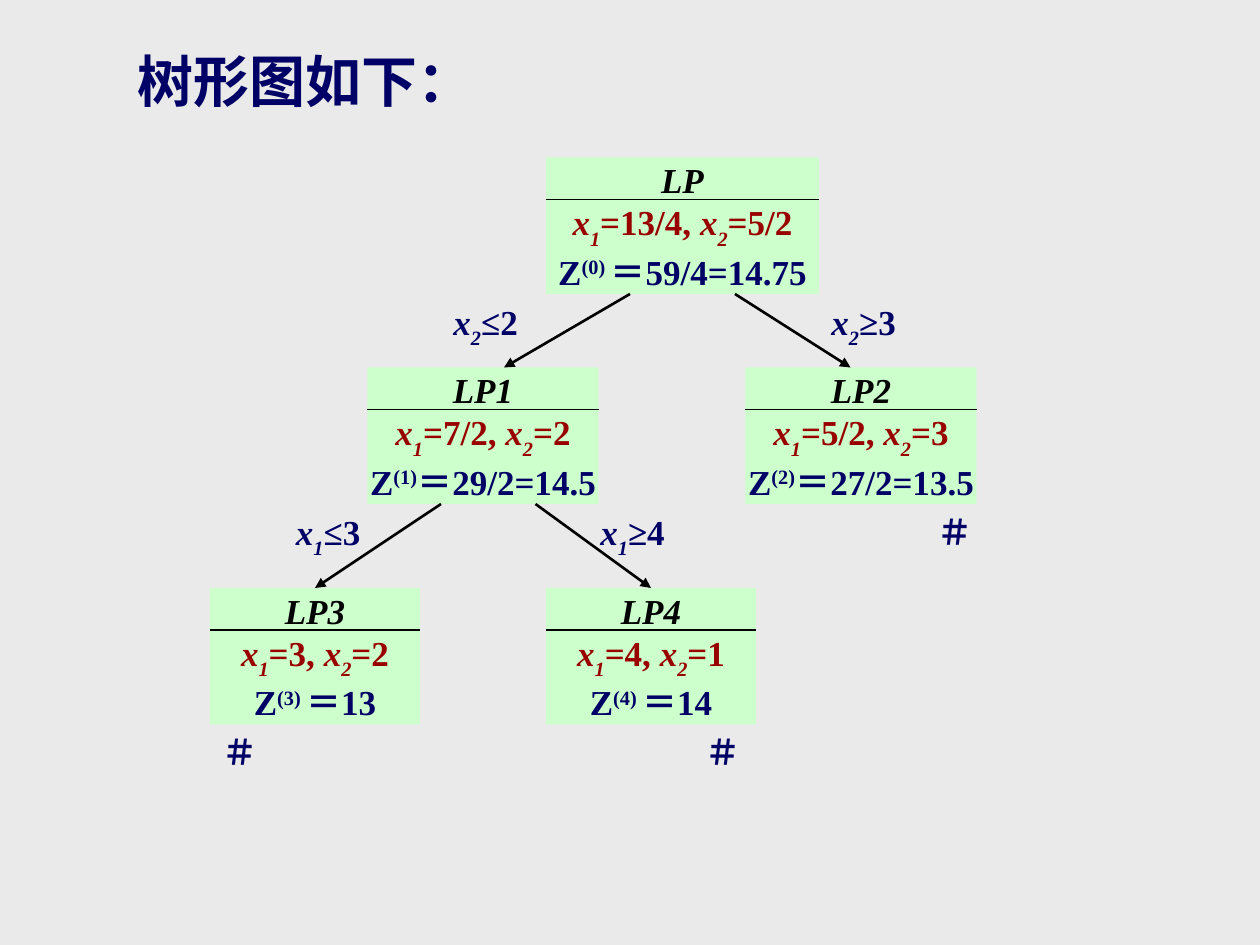
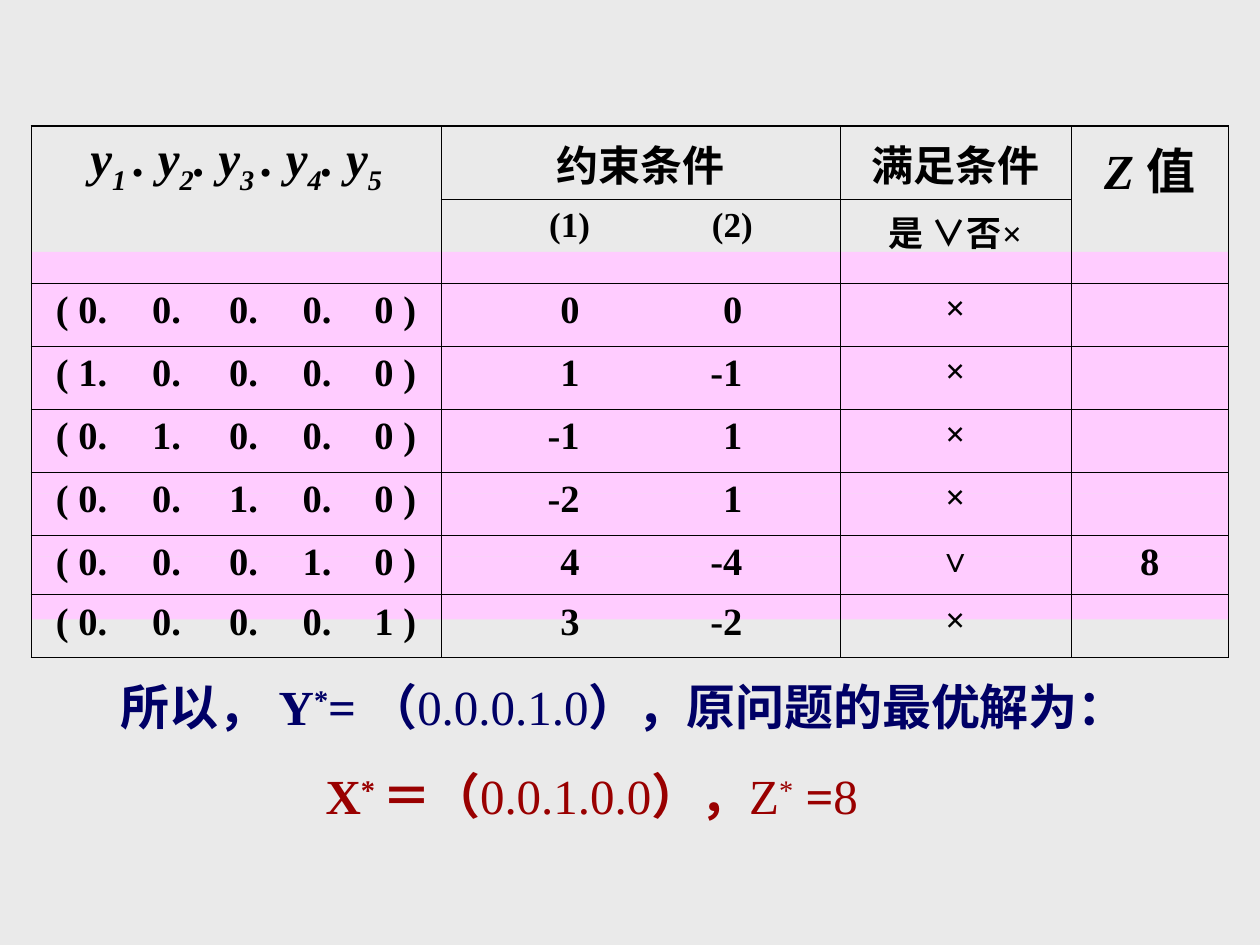
"""Build two slides: a branch-and-bound tree and a 0-1 enumeration table."""
from dataclasses import dataclass

from lxml.etree import SubElement
from pptx import Presentation
from pptx.dml.color import RGBColor
from pptx.enum.shapes import MSO_CONNECTOR, MSO_SHAPE
from pptx.enum.text import MSO_ANCHOR, PP_ALIGN
from pptx.oxml.ns import qn
from pptx.util import Pt


@dataclass(frozen=True)
class Theme:
    font: str = "Times New Roman"
    back: str = "EAEAEA"
    navy: str = "000066"
    red: str = "990000"
    black: str = "000000"
    node: str = "CCFFCC"
    band: str = "FFCCFF"
    title: int = 32
    large: int = 28
    head: int = 24
    row: int = 22
    body: int = 20


T = Theme()
BASELINE = {"_": "-30000", "^": "30000"}


def add_runs(p, runs, size, color):
    for text, style in runs:
        r = p.add_run()
        r.text = text
        r.font.name = T.font
        r.font.size = Pt(size)
        r.font.bold = "b" in style
        r.font.italic = "i" in style
        r.font.color.rgb = RGBColor.from_string(color)
        for mark in BASELINE:
            if mark in style:
                r._r.get_or_add_rPr().set("baseline", BASELINE[mark])


def add_rect(s, x, y, w, h, color):
    sp = s.shapes.add_shape(MSO_SHAPE.RECTANGLE, Pt(x), Pt(y), Pt(w), Pt(h))
    sp.shadow.inherit = False
    sp.fill.solid()
    sp.fill.fore_color.rgb = RGBColor.from_string(color)
    sp.line.fill.background()
    return sp


prs = Presentation()
prs.slide_width, prs.slide_height = Pt(720), Pt(540)
slides = []
for _ in range(2):
    s = prs.slides.add_slide(prs.slide_layouts[6])
    s.background.fill.solid()
    s.background.fill.fore_color.rgb = RGBColor.from_string(T.back)
    slides.append(s)
tree, result = slides

nodes = [
    ("LP1", 210, 210, 132, "7/2", "2", "(1)", "29/2=14.5"),
    ("LP", 312, 90, 156, "13/4", "5/2", "(0) ", "59/4=14.75"),
    ("LP2", 426, 210, 132, "5/2", "3", "(2)", "27/2=13.5"),
    ("LP3", 120, 336, 120, "3", "2", "(3) ", "13"),
    ("LP4", 312, 336, 120, "4", "1", "(4) ", "14"),
]
node_h, rule_drop = 78, 24
lines = []
for name, x, y, w, x1, x2, index, z in nodes:
    sp = add_rect(tree, x, y, w, node_h, T.node)
    tf = sp.text_frame
    tf.word_wrap = False
    tf.vertical_anchor = MSO_ANCHOR.MIDDLE
    solution = [("x", "bi"), ("1", "bi_"), (f"={x1}, ", "b"),
                ("x", "bi"), ("2", "bi_"), (f"={x2}", "b")]
    value = [("Z", "b"), (index, "b^"), (f"＝{z}", "b")]
    rows = [([(name, "bi")], T.black), (solution, T.red), (value, T.navy)]
    for i, (runs, color) in enumerate(rows):
        p = tf.add_paragraph() if i else tf.paragraphs[0]
        p.alignment = PP_ALIGN.CENTER
        add_runs(p, runs, T.body, color)
    lines.append((x, y + rule_drop, x + w, y + rule_drop, 0.75, False))

lines += [
    (360, 168, 288, 210, 1.5, True),
    (420, 168, 486, 210, 1.5, True),
    (252, 288, 180, 336, 1.5, True),
    (306, 288, 372, 336, 1.5, True),
]
for x1, y1, x2, y2, weight, arrow in lines:
    c = tree.shapes.add_connector(MSO_CONNECTOR.STRAIGHT, Pt(x1), Pt(y1), Pt(x2), Pt(y2))
    c.line.width = Pt(weight)
    c.line.color.rgb = RGBColor.from_string(T.black)
    if arrow:
        SubElement(c.line._get_or_add_ln(), qn("a:tailEnd"), type="triangle")
    SubElement(c._element.spPr, qn("a:effectLst"))

texts = [(71.3, 23, 206.6, 46, [("树形图如下：", "b")], T.title, False)]
for x, y, index, bound in [(252, 168, "2", "≤2"), (468, 168, "2", "≥3"),
                           (162, 288, "1", "≤3"), (336, 288, "1", "≥4")]:
    runs = [("x", "bi"), (index, "bi_"), (bound, "b")]
    texts.append((x, y, 67, 36, runs, T.body, True))
for x, y in [(528.5, 288), (396, 414), (120, 414)]:
    texts.append((x, y, 34.6, 31.7, [("＃", "b")], T.body, False))
for x, y, w, h, runs, size, wrap in texts:
    tf = tree.shapes.add_textbox(Pt(x), Pt(y), Pt(w), Pt(h)).text_frame
    tf.word_wrap = wrap
    add_runs(tf.paragraphs[0], runs, size, T.navy)

for y in (318, 246, 216, 180, 144, 282):
    add_rect(result, 18, y, 684, 36, T.band)

col_w = [234, 228, 132, 90]
row_h = [36, 45.4, 36, 36, 36, 36, 34, 36]
tbl = result.shapes.add_table(len(row_h), len(col_w), Pt(18), Pt(72),
                              Pt(sum(col_w)), Pt(sum(row_h))).table
tbl.first_row = tbl.horz_banding = False
for col, w in zip(tbl.columns, col_w):
    col.width = Pt(w)
for row, h in zip(tbl.rows, row_h):
    row.height = Pt(h)
for c in (0, 3):
    tbl.cell(0, c).merge(tbl.cell(1, c))

variables = [("y", "bi"), ("1 ", "bi_"), (". y", "bi"), ("2", "bi_"), (". y", "bi"),
             ("3 ", "bi_"), (". y", "bi"), ("4", "bi_"), (". y", "bi"), ("5", "bi_")]
cells = {
    (0, 0): (variables, T.large),
    (0, 1): ([("约束条件", "b")], T.head),
    (0, 2): ([("满足条件", "b")], T.head),
    (0, 3): ([("Z ", "bi"), ("值", "b")], T.large),
    (1, 1): ([("\t(1)\t(2)", "b")], T.body),
    (1, 2): ([("是 ∨否×", "b")], T.body),
    (6, 3): ([("8", "b")], T.row),
}
trials = [("00000", "0", "0", "×"), ("10000", "1", "-1", "×"), ("01000", "-1", "1", "×"),
          ("00100", "-2", "1", "×"), ("00010", "4", "-4", "∨"), ("00001", "3", "-2", "×")]
for i, (bits, first, second, verdict) in enumerate(trials, 2):
    cells[i, 0] = [("( " + ".\t".join(bits) + " )", "b")], T.row
    cells[i, 1] = [(f"\t{first}\t{second}", "b")], T.row
    cells[i, 2] = [(verdict, "b")], T.body

vector_tabs = [("l", 55), ("l", 99), ("l", 141), ("l", 182)]
for i in range(len(row_h)):
    for j in range(len(col_w)):
        cell = tbl.cell(i, j)
        tcPr = cell._tc.get_or_add_tcPr()
        edges = {"lnL": j == 0, "lnR": j == 3, "lnT": i == 0, "lnB": i == 7}
        for tag, outer in edges.items():
            ln = SubElement(tcPr, qn(f"a:{tag}"), w=str(Pt(1.08 if outer else 0.45)))
            SubElement(SubElement(ln, qn("a:solidFill")), qn("a:srgbClr"), val=T.black)
        cell.fill.background()
        if (i, j) not in cells:
            continue
        runs, size = cells[i, j]
        p = cell.text_frame.paragraphs[0]
        p.alignment = PP_ALIGN.CENTER
        tabs = []
        if j == 0 and i > 1:
            tabs = vector_tabs
            cell.margin_left = Pt(14)
        elif j == 1 and i > 0:
            shift = 6 if i == 1 else 0
            tabs = [("r", 72 + shift), ("r", 165 + shift)]
        if tabs:
            p.alignment = PP_ALIGN.LEFT
            tab_list = SubElement(p._p.get_or_add_pPr(), qn("a:tabLst"))
            for align, pos in tabs:
                SubElement(tab_list, qn("a:tab"), pos=str(Pt(pos)), algn=align)
        add_runs(p, runs, size, T.black)

tf = result.shapes.add_textbox(Pt(18), Pt(383), Pt(684), Pt(132)).text_frame
tf.word_wrap = True
conclusions = [
    (44, T.navy, [("所以， Y", "b"), ("*", "b^"), ("= （", "b"), ("0.0.0.1.0", ""),
                  ("），原问题的最优解为：", "b")]),
    (161, T.red, [("X", "b"), ("* ", "b^"), ("＝（", "b"), ("0.0.1.0.0", ""), ("），", "b"),
                  ("Z", ""), ("*", "^"), (" =", "b"), ("8", "")]),
]
for i, (indent, color, runs) in enumerate(conclusions):
    p = tf.add_paragraph() if i else tf.paragraphs[0]
    p._p.get_or_add_pPr().set("marL", str(Pt(indent)))
    if i:
        p.space_before = Pt(17.5)
    add_runs(p, runs, T.large, color)

prs.save("out.pptx")
